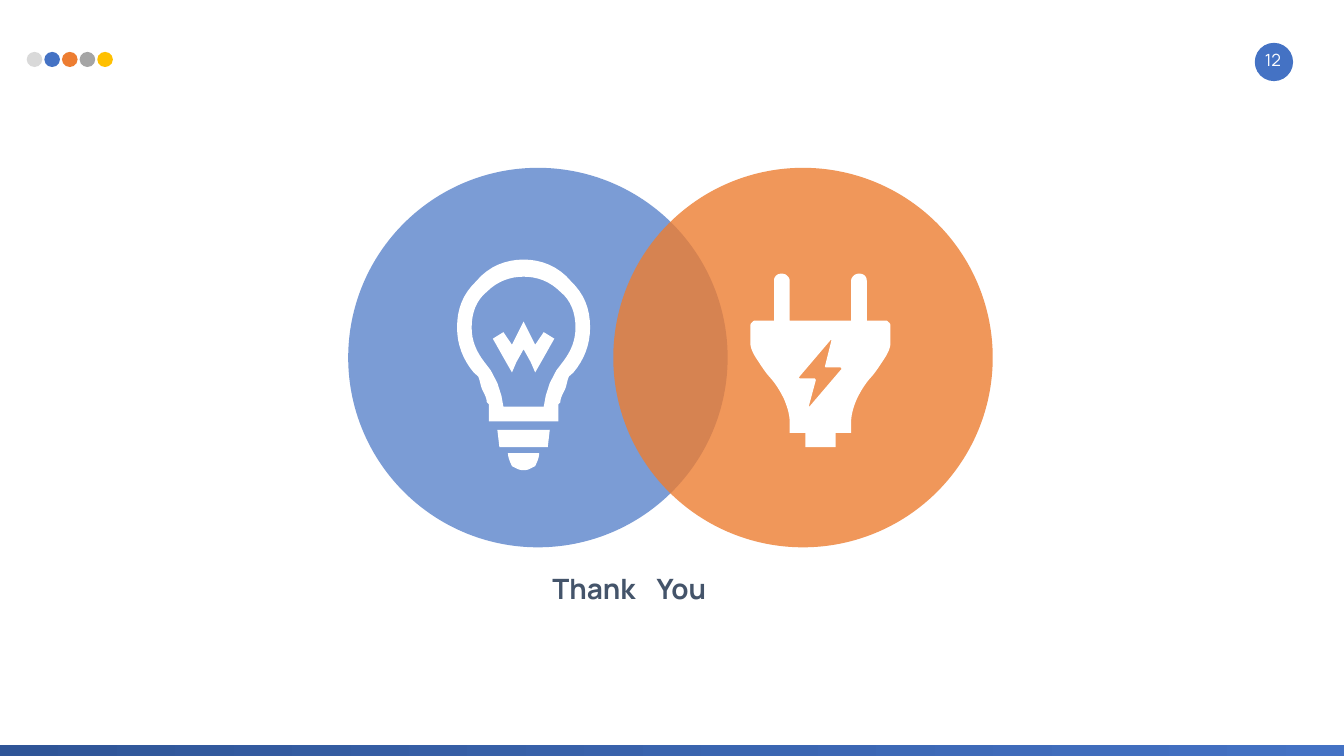
"""Build the closing slide: two overlapping circles with a bulb and a plug."""
from lxml import etree
from pptx import Presentation
from pptx import util as u
from pptx.dml.color import RGBColor
from pptx.enum import shapes, text
from pptx.oxml.ns import qn

Inches = u.Inches
BLUE = RGBColor(0x44, 0x72, 0xC4)
NAVY = RGBColor(0x2F, 0x55, 0x97)
ORANGE = RGBColor(0xED, 0x7D, 0x31)
GREY = RGBColor(0xA5, 0xA5, 0xA5)
SILVER = RGBColor(0xD9, 0xD9, 0xD9)
GOLD = RGBColor(0xFF, 0xC0, 0x00)
SLATE = RGBColor(0x44, 0x54, 0x6A)
WHITE = RGBColor(0xFF, 0xFF, 0xFF)

HEADING = {"name": "Manrope", "size": u.Pt(40), "bold": True}
NUMBER = {"name": "Manrope", "size": u.Pt(24), "bold": False}
TIGHT = {"margin_top": 0, "margin_bottom": 0}

BULB_AXIS = 10.39
BULB_HALVES = [
    [(10.39, 5.15), (10.74, 5.15, 11.08, 5.28, 11.33, 5.58),
     (11.59, 5.83, 11.71, 6.12, 11.71, 6.5), (11.71, 6.84, 11.59, 7.14, 11.38, 7.39),
     (11.29, 7.47), (11.25, 7.56, 11.25, 7.64, 11.21, 7.73),
     (11.17, 7.81, 11.12, 7.9, 11.12, 7.98), (11.08, 8.02), (11.08, 8.36)],
    [(10.39, 5.49), (10.66, 5.49, 10.91, 5.58, 11.12, 5.79),
     (11.33, 5.96, 11.42, 6.21, 11.42, 6.5), (11.42, 6.76, 11.33, 6.97, 11.17, 7.18),
     (11.04, 7.35), (10.91, 7.6), (10.83, 7.85), (10.79, 8.07)],
    [(10.39, 6.38), (10.62, 6.84), (10.79, 6.59), (11, 6.72), (10.74, 7.18),
     (10.62, 7.39), (10.53, 7.18), (10.39, 6.93)],
    [(10.91, 8.53), (10.87, 8.87)],
    [(10.7, 8.99), (10.7, 9.08, 10.66, 9.16, 10.62, 9.25),
     (10.53, 9.29, 10.49, 9.33, 10.39, 9.33)],
]
PLUG_AXIS = 16.28
PLUG_HALF = [
    (16.89, 6.36), (16.89, 5.57), (16.89, 5.53, 16.91, 5.5, 16.94, 5.47),
    (16.97, 5.44, 17.01, 5.43, 17.05, 5.43), (17.09, 5.43, 17.13, 5.44, 17.16, 5.47),
    (17.19, 5.5, 17.2, 5.53, 17.2, 5.57), (17.2, 6.36), (17.59, 6.36),
    (17.6, 6.36, 17.62, 6.38, 17.64, 6.4), (17.66, 6.41, 17.67, 6.44, 17.67, 6.46),
    (17.67, 6.81), (17.67, 6.9, 17.62, 7.01, 17.54, 7.13),
    (17.46, 7.25, 17.38, 7.38, 17.28, 7.49), (17.18, 7.6, 17.09, 7.74, 17.01, 7.9),
    (16.94, 8.06, 16.89, 8.22, 16.89, 8.37), (16.89, 8.59), (16.58, 8.59), (16.58, 8.87),
]
BOLT = [(16.7, 7.32), (16.06, 8.07), (16.05, 8.06), (16.19, 7.54), (16.17, 7.51),
        (15.87, 7.51), (15.85, 7.49), (16.48, 6.75), (16.5, 6.75), (16.37, 7.27),
        (16.38, 7.29), (16.68, 7.29)]


def flatten(outline, steps=8):
    """Turn points and cubic curves into plain points."""
    points = []
    for part in outline:
        if len(part) == 2:
            points.append(part)
            continue
        x0, y0 = points[-1]
        x1, y1, x2, y2, x3, y3 = part
        for i in range(1, steps + 1):
            t = i / steps
            a, b, c, d = (1 - t) ** 3, 3 * t * (1 - t) ** 2, 3 * t * t * (1 - t), t ** 3
            points.append((a * x0 + b * x1 + c * x2 + d * x3,
                           a * y0 + b * y1 + c * y2 + d * y3))
    return points


def mirror(half, axis):
    """Close a right half with its reflection in a vertical axis."""
    right = flatten(half)
    return right + [(2 * axis - x, y) for x, y in reversed(right)]


class Deck:
    """Hold the style and the current slide."""

    def __init__(self, s):
        self.s = s

    def paint(self, sp, color, alpha=None):
        """Give a shape a flat fill with no line or shadow."""
        sp.shadow.inherit = False
        sp.line.fill.background()
        sp.fill.solid()
        sp.fill.fore_color.rgb = color
        if alpha:
            clr = sp._element.spPr.find(".//" + qn("a:srgbClr"))
            etree.SubElement(clr, qn("a:alpha")).set("val", str(alpha * 1000))
        return sp

    def preset(self, kind, box, color, alpha=None):
        """Add a filled preset shape."""
        sp = self.s.shapes.add_shape(kind, *map(Inches, box))
        return self.paint(sp, color, alpha)

    def circle(self, box, color, alpha=None):
        """Add a filled ellipse."""
        return self.preset(shapes.MSO_SHAPE.OVAL, box, color, alpha)

    def bar(self, box, start, end):
        """Add a rectangle with a left-to-right gradient."""
        sp = self.preset(shapes.MSO_SHAPE.RECTANGLE, box, start)
        sp.fill.gradient()
        sp.fill.gradient_angle = 0
        for stop, color, position in zip(sp.fill.gradient_stops, (start, end), (0, 1)):
            stop.color.rgb = color
            stop.position = position

    def icon(self, contours):
        """Add a white freeform made of closed contours."""
        first, *rest = [[(Inches(x), Inches(y)) for x, y in c] for c in contours]
        builder = self.s.shapes.build_freeform(*first[0], scale=1.0)
        builder.add_line_segments(first[1:])
        for contour in rest:
            builder.move_to(*contour[0])
            builder.add_line_segments(contour[1:])
        self.paint(builder.convert_to_shape(), WHITE)

    def set_text(self, sp, words, color, font, align, frame):
        """Put one formatted line of text in a shape."""
        tf = sp.text_frame
        settings = {"word_wrap": True, "auto_size": text.MSO_AUTO_SIZE.NONE,
                    "vertical_anchor": text.MSO_ANCHOR.MIDDLE, **frame}
        for key, value in settings.items():
            setattr(tf, key, value)
        p = tf.paragraphs[0]
        p.alignment = align
        p.line_spacing = 1.0
        r = p.add_run()
        r.text = words
        for key, value in font.items():
            setattr(r.font, key, value)
        r.font.color.rgb = color

    def title(self, box, words, align):
        """Place and fill the title placeholder."""
        sp = self.s.shapes.title
        sp.left, sp.top, sp.width, sp.height = map(Inches, box)
        self.set_text(sp, words, SLATE, HEADING, align, TIGHT)

    def label(self, box, words, color, font, align, frame):
        """Add a text box."""
        sp = self.s.shapes.add_textbox(*map(Inches, box))
        self.set_text(sp, words, color, font, align, frame)


def main():
    """Build and save the slide."""
    prs = Presentation()
    prs.slide_width, prs.slide_height = Inches(26.67), Inches(15)
    deck = Deck(prs.slides.add_slide(prs.slide_layouts[5]))
    align = text.PP_ALIGN

    for i, color in enumerate((SILVER, BLUE, ORANGE, GREY, GOLD)):
        deck.circle((0.53 + 0.35 * i, 1.03, 0.31, 0.3), color)
    deck.circle((24.9, 0.85, 0.76, 0.76), BLUE)
    deck.bar((0, 14.79, 26.67, 0.21), NAVY, BLUE)

    deck.label((12.93, 11.34, 5.62, 0.67), "You", SLATE, HEADING, align.LEFT, TIGHT)
    deck.title((7.09, 11.33, 5.62, 0.67), "Thank", align.RIGHT)

    deck.circle((6.91, 3.33, 7.53, 7.53), BLUE, 70)
    deck.circle((12.17, 3.33, 7.53, 7.53), ORANGE, 80)
    deck.icon([mirror(PLUG_HALF, PLUG_AXIS), BOLT])
    deck.icon([mirror(half, BULB_AXIS) for half in BULB_HALVES])
    deck.label((24.68, 0.78, 1.16, 0.8), "12", WHITE, NUMBER, align.CENTER, {})

    prs.save("out.pptx")


if __name__ == "__main__":
    main()
